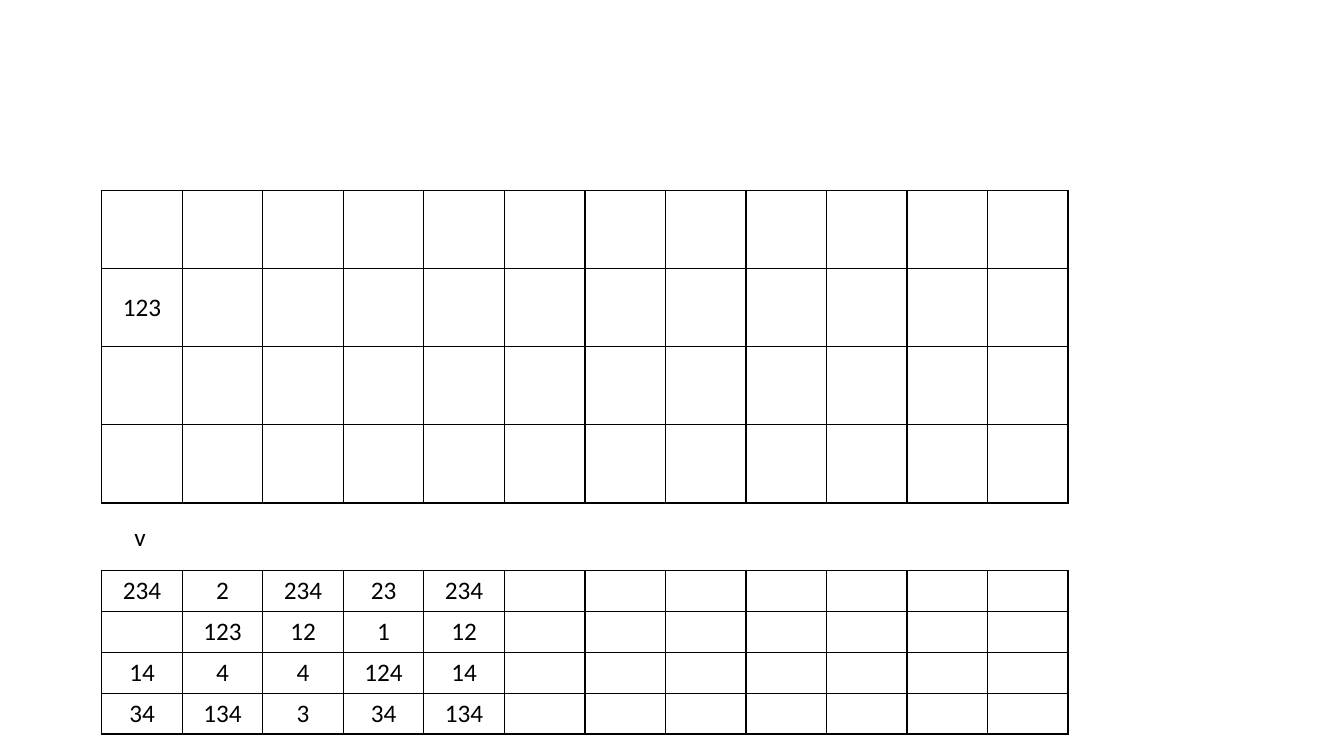
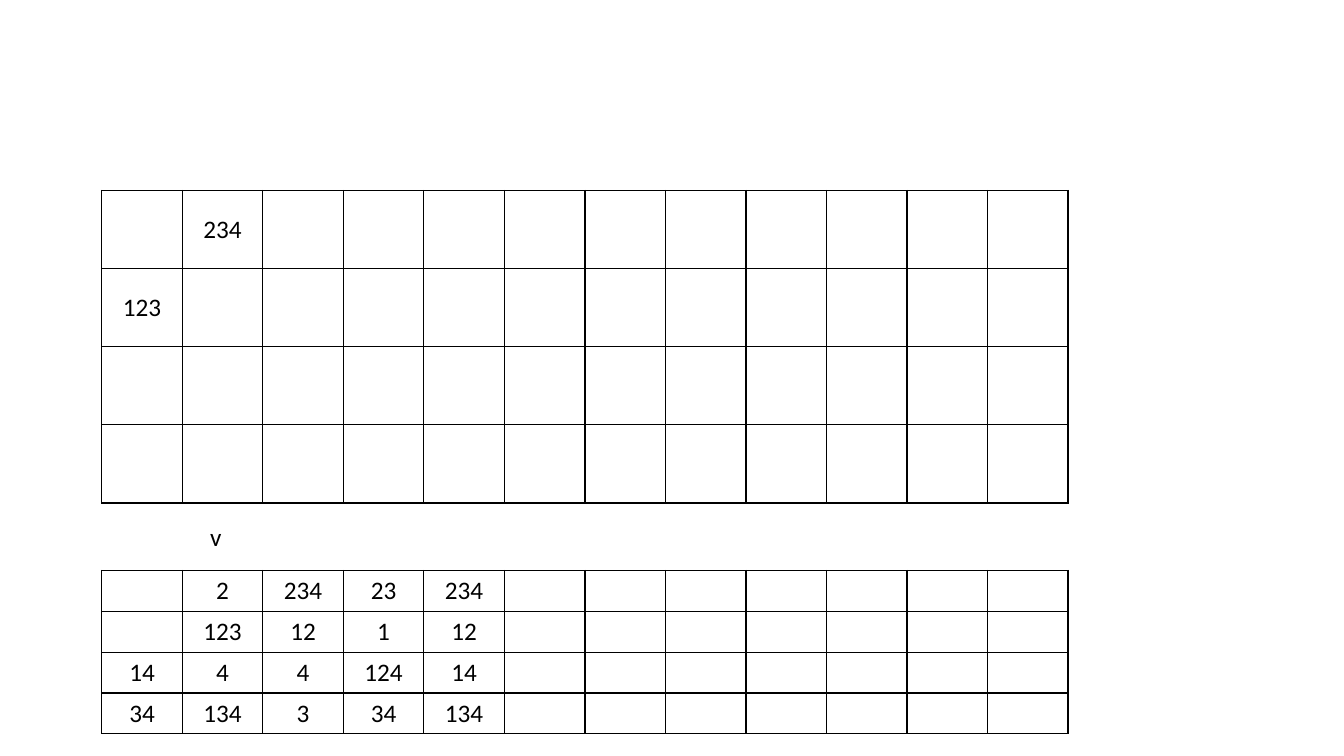
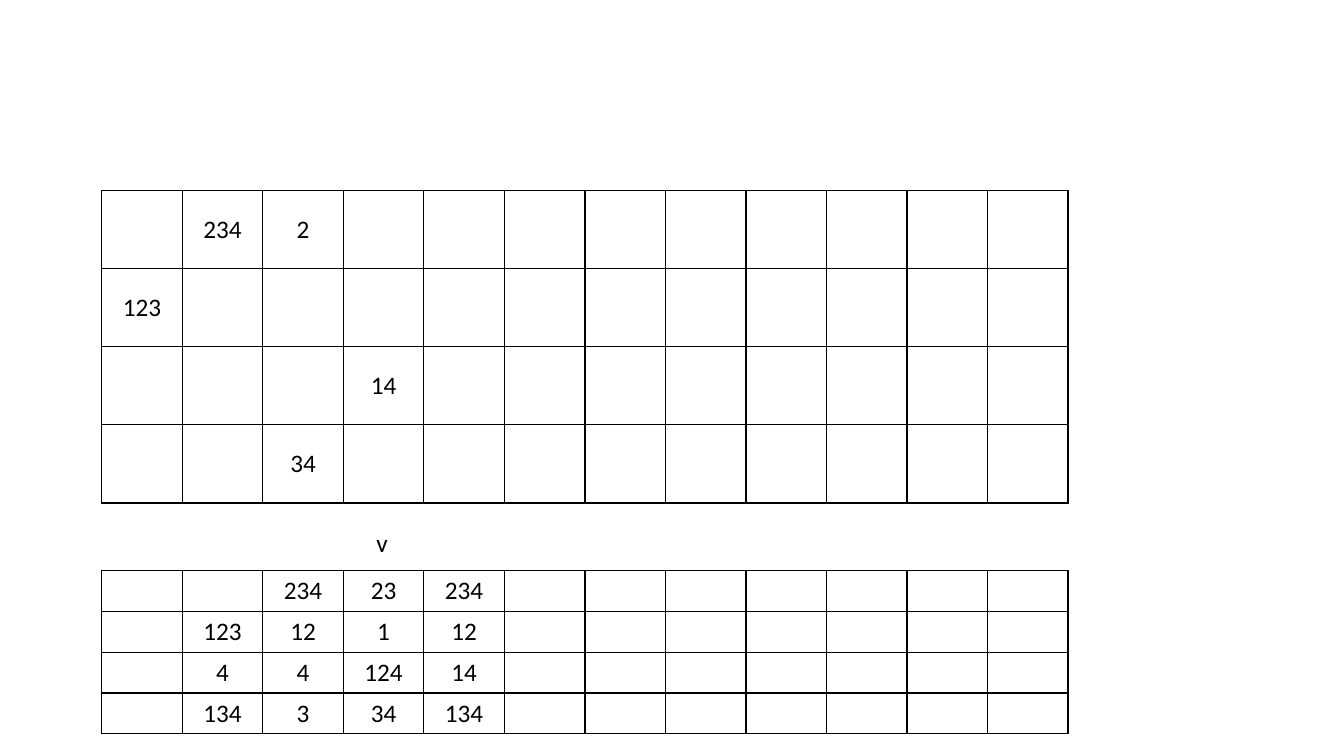
from lxml.etree import SubElement
from pptx import Presentation
from pptx.dml.color import RGBColor
from pptx.enum.text import MSO_ANCHOR, MSO_AUTO_SIZE, PP_ALIGN
from pptx.oxml.ns import qn
from pptx.util import Pt

BLACK = RGBColor(0x00, 0x00, 0x00)
WHITE = RGBColor(0xFF, 0xFF, 0xFF)
FONT = "Calibri"
FONT_SIZE = 18

ROWS, COLS = 4, 12
GRID_LEFT, COL_WIDTH = 72.72, 57.54
SCHEDULE_TOP, SCHEDULE_ROW = 136.08, 55.8
QUEUE_TOP, QUEUE_ROW = 407.52, 29.17
MARKER_WIDTH, MARKER_HEIGHT = 23.04, 28.8

# Waiting values, row by row, before anything has been moved up.
QUEUE = [
    ["234", "2", "234", "23", "234"],
    ["", "123", "12", "1", "12"],
    ["14", "4", "4", "124", "14"],
    ["34", "134", "3", "34", "134"],
]

# Per slide: values placed above and cells emptied below, both keyed by
# (row, column), then the left and top of the marker.
STEPS = [
    ({(1, 0): "123"}, set(), (88.56, 368.64)),
    ({(1, 0): "123", (0, 1): "234"}, {(0, 0)}, (142.56, 368.64)),
    ({(1, 0): "123", (0, 1): "234", (0, 2): "2", (2, 3): "14", (3, 2): "34"},
     {(0, 0), (0, 1), (2, 0), (3, 0)}, (261.36, 372.96)),
]


def add_text(tf, text):
    """Write one centred run in the shared font."""
    p = tf.paragraphs[0]
    p.alignment = PP_ALIGN.CENTER
    r = p.add_run()
    r.text = text
    r.font.name = FONT
    r.font.size = Pt(FONT_SIZE)
    r.font.bold = False
    r.font.color.rgb = BLACK


def add_borders(cell):
    """Draw a 1 pt black line on each side of a cell."""
    tc_pr = cell._tc.get_or_add_tcPr()
    for side in ("lnL", "lnR", "lnT", "lnB"):
        ln = SubElement(tc_pr, qn(f"a:{side}"), w=str(Pt(1)))
        fill = SubElement(ln, qn("a:solidFill"))
        SubElement(fill, qn("a:srgbClr"), val=str(BLACK))


def add_grid(s, top, row_height, values):
    """Add a ruled table holding values keyed by (row, column)."""
    table = s.shapes.add_table(
        ROWS, COLS, Pt(GRID_LEFT), Pt(top),
        Pt(COLS * COL_WIDTH), Pt(ROWS * row_height)).table
    table.first_row = False
    table.horz_banding = False
    for column in table.columns:
        column.width = Pt(COL_WIDTH)
    for i, row in enumerate(table.rows):
        row.height = Pt(row_height)
        for j, cell in enumerate(row.cells):
            add_borders(cell)
            cell.fill.solid()
            cell.fill.fore_color.rgb = WHITE
            cell.vertical_anchor = MSO_ANCHOR.MIDDLE
            if values.get((i, j)):
                add_text(cell.text_frame, values[i, j])


def add_marker(s, left, top):
    """Add the small v that points at the current column."""
    sp = s.shapes.add_textbox(
        Pt(left), Pt(top), Pt(MARKER_WIDTH), Pt(MARKER_HEIGHT))
    tf = sp.text_frame
    tf.word_wrap = False
    tf.auto_size = MSO_AUTO_SIZE.SHAPE_TO_FIT_TEXT
    add_text(tf, "v")


def remaining_queue(emptied):
    """Return the waiting values without the emptied cells."""
    return {(i, j): value
            for i, row in enumerate(QUEUE)
            for j, value in enumerate(row)
            if (i, j) not in emptied}


def main():
    """Build one slide per step and save the file."""
    prs = Presentation()
    prs.slide_width, prs.slide_height = Pt(960), Pt(540)
    for placed, emptied, marker in STEPS:
        s = prs.slides.add_slide(prs.slide_layouts[6])
        add_grid(s, SCHEDULE_TOP, SCHEDULE_ROW, placed)
        add_grid(s, QUEUE_TOP, QUEUE_ROW, remaining_queue(emptied))
        add_marker(s, *marker)
    prs.save("out.pptx")


main()
